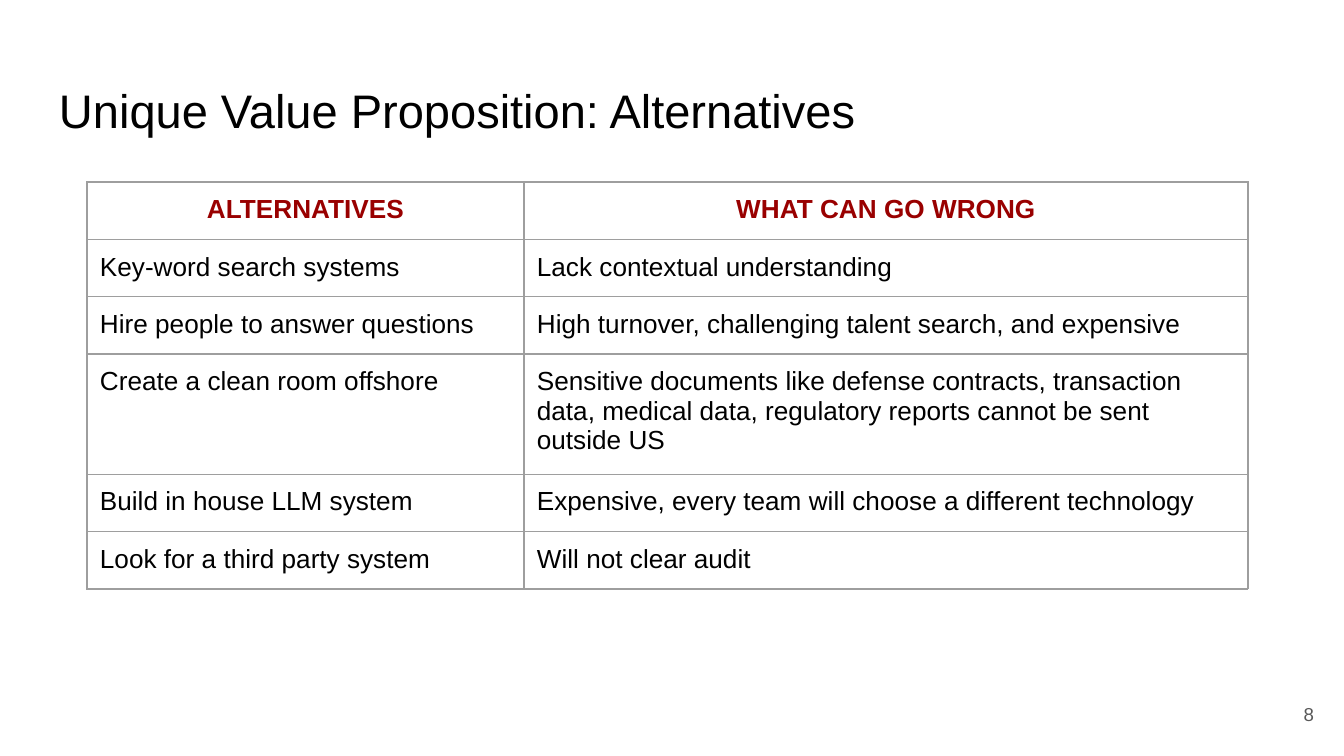
"""Build the slide that weighs the alternatives to the product."""
import dataclasses
import typing

import lxml.etree
import pptx
import pptx.dml.color
import pptx.enum.text
import pptx.oxml.ns
import pptx.util

SCALE = 914400 / 134.4
INSET = 13
HUES = {"paper": "FFFFFF", "ink": "000000", "head": "990000", "rule": "9E9E9E", "note": "595959"}
ALIGN = pptx.enum.text.PP_ALIGN
ANCHOR = pptx.enum.text.MSO_ANCHOR


@dataclasses.dataclass(frozen=True)
class Style:
    """Format of one piece of text."""
    size: float
    hue: str
    bold: bool = False
    align: typing.Any = ALIGN.LEFT


@dataclasses.dataclass(frozen=True)
class Label:
    """A text box with its place in px."""
    text: str
    left: int
    top: int
    width: int
    height: int
    anchor: typing.Any
    style: Style


@dataclasses.dataclass(frozen=True)
class Row:
    """One table row with its height in px."""
    height: int
    option: str
    flaw: str


HEAD = Style(14, "head", True, ALIGN.CENTER)
BODY = Style(14, "ink")
LABELS = (
    Label("Unique Value Proposition: Alternatives", 46, 66, 1253, 85, ANCHOR.BOTTOM, Style(25.2, "ink")),
    Label("8", 1246, 685, 81, 58, ANCHOR.MIDDLE, Style(10, "note", align=ALIGN.RIGHT)),
)
WIDTHS = (437, 724)
ROWS = (
    Row(52, "ALTERNATIVES", "WHAT CAN GO WRONG"),
    Row(52, "Key-word search systems", "Lack contextual understanding"),
    Row(52, "Hire people to answer questions", "High turnover, challenging talent search, and expensive"),
    Row(109, "Create a clean room offshore",
        "Sensitive documents like defense contracts, transaction data, medical data, "
        "regulatory reports cannot be sent outside US"),
    Row(50, "Build in house LLM system", "Expensive, every team will choose a different technology"),
    Row(50, "Look for a third party system", "Will not clear audit"),
)


def px(count: int) -> pptx.util.Emu:
    """Turn px into EMU."""
    return pptx.util.Emu(round(count * SCALE))


def color(name: str) -> pptx.dml.color.RGBColor:
    """Look up a named colour."""
    return pptx.dml.color.RGBColor.from_string(HUES[name])


def fill_text(frame: typing.Any, text: str, style: Style) -> None:
    """Write one styled paragraph into a text frame."""
    para = frame.paragraphs[0]
    para.alignment = style.align
    run = para.add_run()
    run.text = text
    looks = {"name": "Arial", "size": pptx.util.Pt(style.size), "bold": style.bold}
    for key, value in looks.items():
        setattr(run.font, key, value)
    run.font.color.rgb = color(style.hue)


def pad(target: typing.Any) -> None:
    """Give a frame or cell the same inset on every side."""
    for side in ("left", "right", "top", "bottom"):
        setattr(target, f"margin_{side}", px(INSET))


def add_label(slide: typing.Any, label: Label) -> None:
    """Draw a text box."""
    box = slide.shapes.add_textbox(px(label.left), px(label.top), px(label.width), px(label.height))
    frame = box.text_frame
    frame.word_wrap = True
    frame.vertical_anchor = label.anchor
    pad(frame)
    fill_text(frame, label.text, label.style)


def add_rules(cell: typing.Any) -> None:
    """Draw the four borders of a cell."""
    name = pptx.oxml.ns.qn
    props = cell._tc.get_or_add_tcPr()
    for side in "LRTB":
        line = lxml.etree.SubElement(props, name(f"a:ln{side}"), w=str(pptx.util.Pt(0.75)))
        paint = lxml.etree.SubElement(line, name("a:solidFill"))
        lxml.etree.SubElement(paint, name("a:srgbClr"), val=HUES["rule"])


def add_grid(slide: typing.Any, left: int, top: int) -> None:
    """Draw the table of alternatives."""
    height = sum(row.height for row in ROWS)
    shape = slide.shapes.add_table(len(ROWS), len(WIDTHS), px(left), px(top), px(sum(WIDTHS)), px(height))
    table = shape.table
    table.first_row = table.horz_banding = False
    for column, width in zip(table.columns, WIDTHS):
        column.width = px(width)
    for line, row in enumerate(ROWS):
        table.rows[line].height = px(row.height)
        for place, text in enumerate((row.option, row.flaw)):
            cell = table.cell(line, place)
            pad(cell)
            add_rules(cell)
            cell.fill.background()
            fill_text(cell.text_frame, text, BODY if line else HEAD)


def main() -> None:
    """Build and save the slide."""
    deck = pptx.Presentation()
    deck.slide_width, deck.slide_height = px(1344), px(756)
    slide = deck.slides.add_slide(deck.slide_layouts[6])
    slide.background.fill.solid()
    slide.background.fill.fore_color.rgb = color("paper")
    title, number = LABELS
    add_label(slide, title)
    add_grid(slide, 87, 182)
    add_label(slide, number)
    deck.save("out.pptx")


if __name__ == "__main__":
    main()
